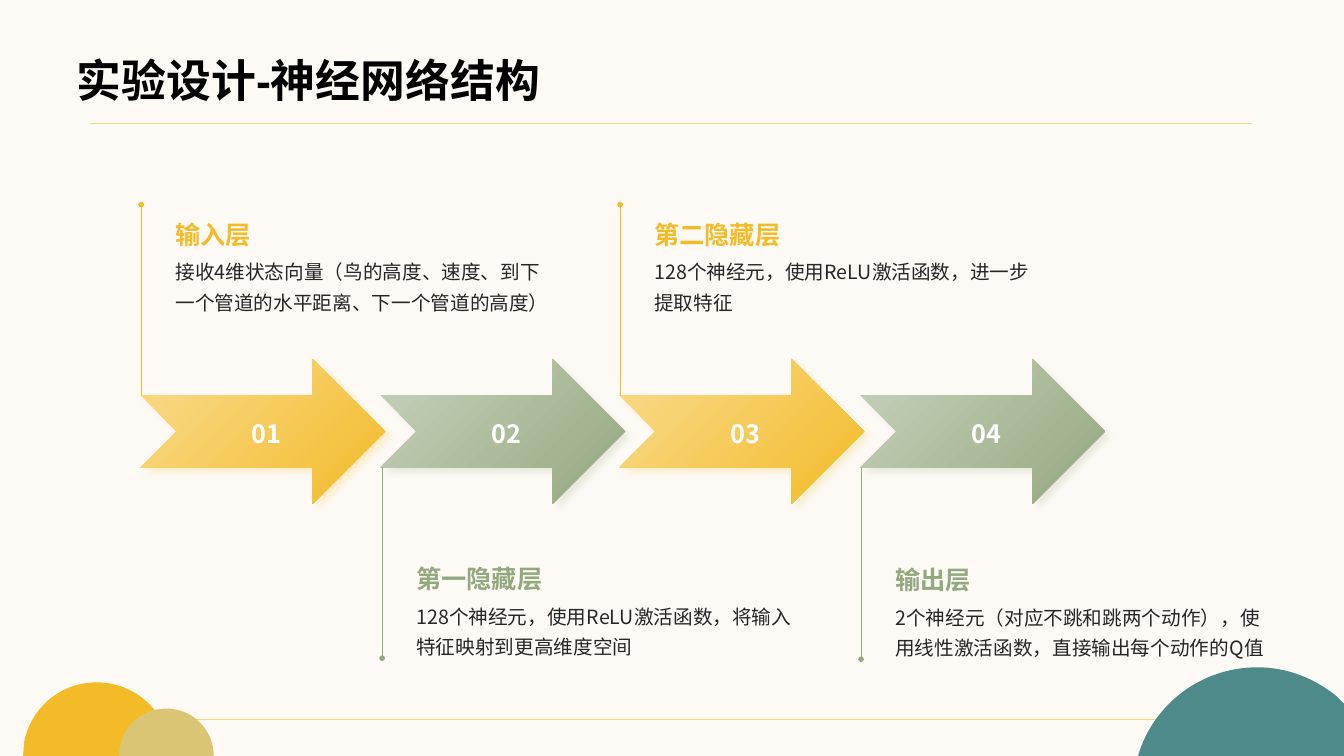
from dataclasses import dataclass

from lxml.etree import SubElement
from pptx import Presentation
from pptx.dml.color import RGBColor
from pptx.enum.shapes import MSO_CONNECTOR as Link, MSO_SHAPE as Preset
from pptx.enum.text import MSO_ANCHOR as Anchor, PP_ALIGN as Align
from pptx.oxml.ns import qn
from pptx.util import Inches, Pt


@dataclass(frozen=True)
class Theme:
    background: str = "FDFAF5"
    black: str = "000000"
    body: str = "262626"
    white: str = "FFFFFF"
    yellow: str = "F3BB28"
    pale_yellow: str = "F8D67E"
    green: str = "94A87F"
    pale_green: str = "BFCBB2"
    tan: str = "D9C573"
    teal: str = "4F8A8B"
    title_font: str = "Arial"
    font: str = "Noto Sans CJK SC"
    title_size: int = 32
    heading_size: int = 18
    body_size: int = 14


@dataclass(frozen=True)
class Layer:
    arrow_left: float
    stem_x: float
    stem_top: float
    heading_top: float
    heading: str
    detail: str


@dataclass(frozen=True)
class Corner:
    """Outline of a cut circle: a pair is a line's end, six numbers a Bézier curve."""
    color: str
    start: tuple[float, float]
    segments: tuple[tuple[float, ...], ...]


THEME = Theme()
WIDTH, HEIGHT = 13.33, 7.5
ARROW_TOP = 3.56
LAYERS = [
    Layer(1.39, 1.4, 2.03, 1.59, "输入层",
          "接收4维状态向量（鸟的高度、速度、到下一个管道的水平距离、下一个管道的高度）"),
    Layer(3.77, 3.79, 4.63, 5.0, "第一隐藏层",
          "128个神经元，使用ReLU激活函数，将输入特征映射到更高维度空间"),
    Layer(6.14, 6.15, 2.03, 1.59, "第二隐藏层",
          "128个神经元，使用ReLU激活函数，进一步提取特征"),
    Layer(8.53, 8.54, 4.64, 5.01, "输出层",
          "2个神经元（对应不跳和跳两个动作），使用线性激活函数，直接输出每个动作的Q值"),
]
YELLOW_CORNER = Corner(THEME.yellow, (0.96, 6.77), (
    (1.32, 6.77, 1.61, 7.02, 1.68, 7.36), (1.69, 7.5), (0.23, 7.5), (0.24, 7.36),
    (0.31, 7.02, 0.6, 6.77, 0.96, 6.77)))
TAN_CORNER = Corner(THEME.tan, (1.65, 7.03), (
    (1.39, 7.03, 1.18, 7.24, 1.18, 7.5), (2.12, 7.5),
    (2.12, 7.24, 1.91, 7.03, 1.65, 7.03)))
TEAL_CORNER = Corner(THEME.teal, (12.47, 6.62), (
    (12.77, 6.62, 13.04, 6.73, 13.26, 6.91), (13.33, 6.98), (13.33, 7.5), (11.29, 7.5),
    (11.29, 7.49), (11.44, 6.99, 11.91, 6.62, 12.47, 6.62)))


def rgb(color: str) -> RGBColor:
    return RGBColor.from_string(color)


def write(shape, text: str, *, size: int, color: str, font: str = THEME.font, bold: bool = False,
          anchor=Anchor.TOP, align=Align.LEFT, spacing: float = 1.0,
          insets=(0, 0, 0, 0), wrap: bool = True) -> None:
    frame = shape.text_frame
    frame.word_wrap = wrap
    frame.vertical_anchor = anchor
    (frame.margin_left, frame.margin_top,
     frame.margin_right, frame.margin_bottom) = map(Inches, insets)
    para = frame.paragraphs[0]
    para.alignment = align
    para.line_spacing = spacing
    span = para.add_run()
    span.text = text
    span.font.name = font
    span.font.size = Pt(size)
    span.font.bold = bold
    span.font.color.rgb = rgb(color)
    SubElement(span.font._element, qn("a:ea"), typeface=THEME.font)


def add_text(page, left: float, top: float, width: float, height: float,
             text: str, **style) -> None:
    box = page.shapes.add_textbox(*map(Inches, (left, top, width, height)))
    write(box, text, **style)


def add_line(page, x1: float, y1: float, x2: float, y2: float,
             color: str, weight: float, dot: str = "") -> None:
    """Draw a line; dot is the XML name of the end that carries an oval."""
    line = page.shapes.add_connector(Link.STRAIGHT, *map(Inches, (x1, y1, x2, y2)))
    line.line.color.rgb = rgb(color)
    line.line.width = Pt(weight)
    if dot:
        SubElement(line.line._get_or_add_ln(), qn(f"a:{dot}"), type="oval", w="sm", len="sm")
    SubElement(line._element.spPr, qn("a:effectLst"))


def add_corner(page, corner: Corner) -> None:
    builder = page.shapes.build_freeform(*map(Inches, corner.start))
    ends = [(Inches(segment[-2]), Inches(segment[-1])) for segment in corner.segments]
    builder.add_line_segments(ends, close=True)
    shape = builder.convert_to_shape()
    # Bend the segments that have control points
    for node, segment in zip(list(shape._element.iter(qn("a:lnTo"))), corner.segments):
        if len(segment) == 6:
            curve = node.makeelement(qn("a:cubicBezTo"))
            for x, y in zip(segment[::2], segment[1::2]):
                SubElement(curve, qn("a:pt"), x=str(Inches(x) - shape.left),
                           y=str(Inches(y) - shape.top))
            node.getparent().replace(node, curve)
    shape.shadow.inherit = False
    shape.fill.solid()
    shape.fill.fore_color.rgb = rgb(corner.color)
    shape.line.fill.background()


def add_arrow(page, left: float, number: str, pale: str, strong: str) -> None:
    arrow = page.shapes.add_shape(
        Preset.NOTCHED_RIGHT_ARROW, *map(Inches, (left, ARROW_TOP, 2.43, 1.44)))
    arrow.line.fill.background()
    arrow.fill.gradient()
    arrow.fill.gradient_angle = 315
    for stop, position, color in zip(arrow.fill.gradient_stops, (0.16, 1), (pale, strong)):
        stop.position = position
        stop.color.rgb = rgb(color)
    # Soft tinted shadow
    arrow.shadow.inherit = False
    effects = arrow._element.spPr.find(qn("a:effectLst"))
    shadow = SubElement(effects, qn("a:outerShdw"), blurRad=str(Pt(5)), dist=str(Pt(5)),
                        dir="2700000", algn="tl", rotWithShape="0")
    tint = SubElement(shadow, qn("a:srgbClr"), val=strong)
    SubElement(tint, qn("a:alpha"), val="20000")
    write(arrow, number, size=THEME.heading_size, color=THEME.white, bold=True,
          anchor=Anchor.MIDDLE, align=Align.CENTER, insets=(0.16, 0.08, 0.08, 0.04), wrap=False)


def add_layer(page, index: int, layer: Layer) -> None:
    above = index % 2 == 0
    pale, strong, dot = ((THEME.pale_yellow, THEME.yellow, "headEnd") if above
                         else (THEME.pale_green, THEME.green, "tailEnd"))
    text_left = layer.stem_x + 0.34
    detail_top = layer.heading_top + (0.92 if above else 0.93)
    add_arrow(page, layer.arrow_left, f"{index + 1:02}", pale, strong)
    add_line(page, layer.stem_x, layer.stem_top, layer.stem_x, layer.stem_top + 1.9,
             strong, 0.25, dot)
    add_text(page, text_left, layer.heading_top, 3.74, 0.89, layer.heading,
             size=THEME.heading_size, color=strong, bold=True, anchor=Anchor.BOTTOM)
    add_text(page, text_left, detail_top, 3.74, 1.02, layer.detail,
             size=THEME.body_size, color=THEME.body, spacing=1.3)


def main() -> None:
    deck = Presentation()
    deck.slide_width, deck.slide_height = Inches(WIDTH), Inches(HEIGHT)
    page = deck.slides.add_slide(deck.slide_layouts[6])
    page.background.fill.solid()
    page.background.fill.fore_color.rgb = rgb(THEME.background)

    # Rules and corner circles
    add_line(page, 0.89, 1.22, 12.42, 1.22, THEME.pale_yellow, 0.5)
    add_corner(page, YELLOW_CORNER)
    add_line(page, 1.69, 7.14, 11.55, 7.14, THEME.pale_yellow, 0.5)
    add_corner(page, TAN_CORNER)
    add_corner(page, TEAL_CORNER)

    # Title
    add_text(page, 0.76, 0.39, 11.81, 0.79, "实验设计-神经网络结构", size=THEME.title_size,
             color=THEME.black, font=THEME.title_font, bold=True, anchor=Anchor.MIDDLE)

    # Network layers
    for index, layer in enumerate(LAYERS):
        add_layer(page, index, layer)

    deck.save("out.pptx")


if __name__ == "__main__":
    main()
